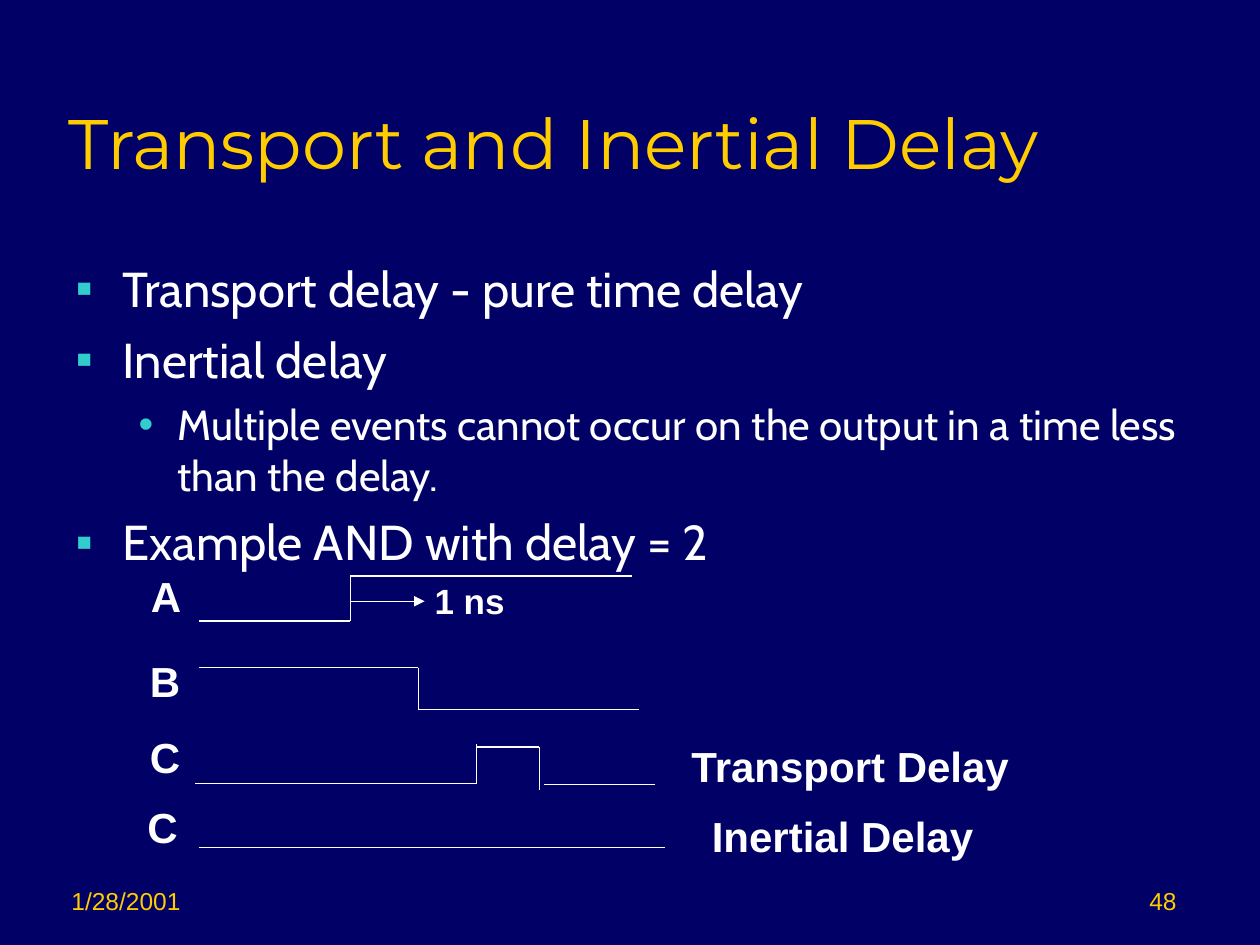
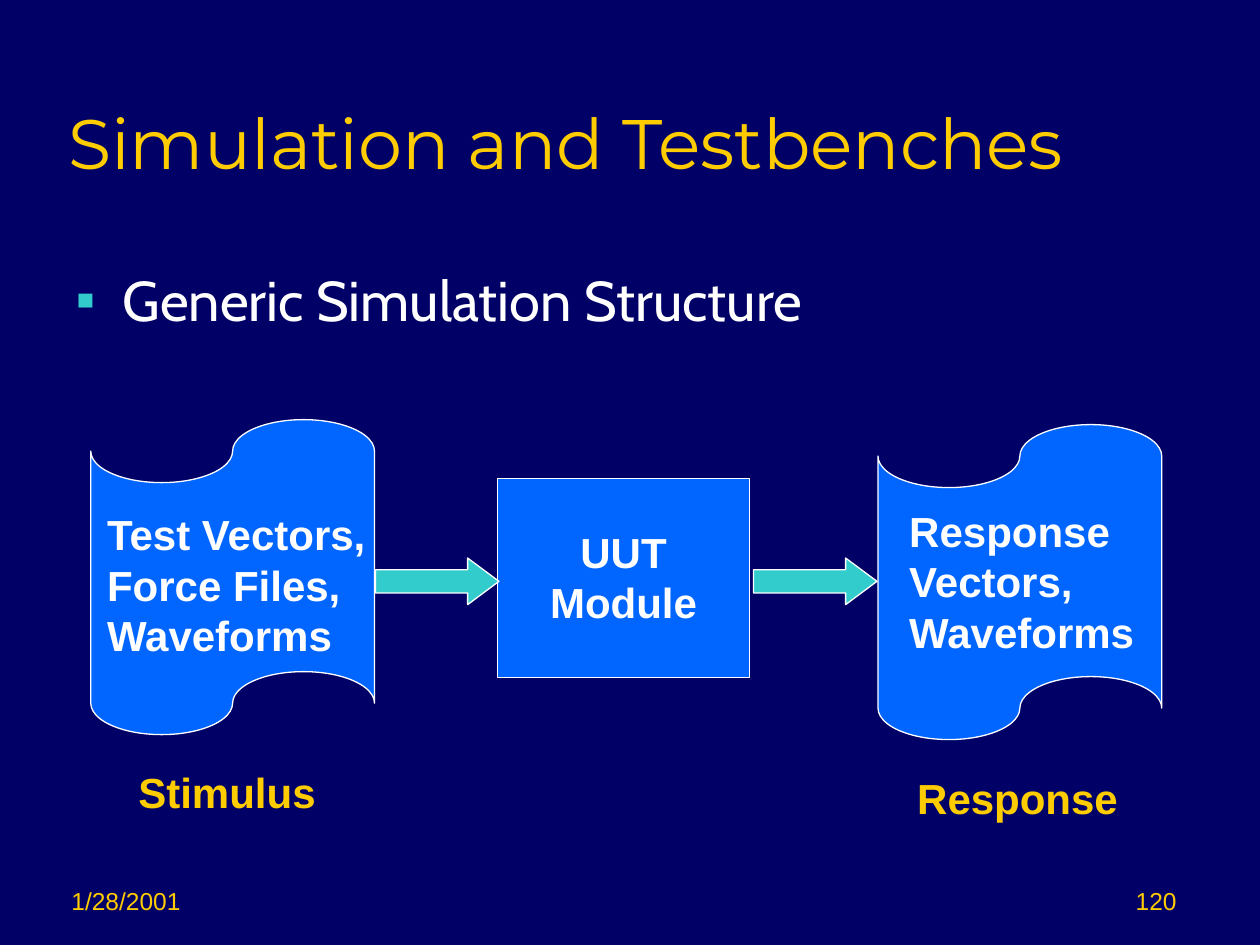
"""Build two VHDL lecture slides: signal delays and testbench structure."""
from dataclasses import dataclass
from itertools import pairwise

from lxml.etree import SubElement
from pptx import Presentation
from pptx.dml.color import RGBColor
from pptx.enum.shapes import MSO_CONNECTOR, MSO_SHAPE
from pptx.enum.text import MSO_ANCHOR, MSO_AUTO_SIZE, PP_ALIGN
from pptx.oxml.ns import qn
from pptx.util import Cm, Pt

NAVY = RGBColor(0x00, 0x00, 0x66)
GOLD = RGBColor(0xFF, 0xCC, 0x00)
WHITE = RGBColor(0xFF, 0xFF, 0xFF)
TEAL = RGBColor(0x33, 0xCC, 0xCC)
BLUE = RGBColor(0x00, 0x66, 0xFF)

TITLE_FONT = "Montserrat"
BODY_FONT = "Cabin"
LABEL_FONT = "Arial"
THIN = Pt(0.75)
DATE = "1/28/2001"


@dataclass(frozen=True)
class Bullet:
    text: str
    size: int
    space_before: int = 0
    level: int = 0


@dataclass(frozen=True)
class BulletStyle:
    mark: str
    margin: float
    hanging: float


@dataclass(frozen=True)
class Label:
    text: str
    left: float
    top: float
    width: float
    height: float = 1.27
    size: int = 24
    color: RGBColor = WHITE
    align: PP_ALIGN = PP_ALIGN.LEFT


@dataclass(frozen=True)
class Block:
    kind: MSO_SHAPE
    left: float
    top: float
    width: float
    height: float
    fill: RGBColor = BLUE
    adjustments: tuple[float, ...] = ()


BULLET_STYLES = (BulletStyle("▪", 0.95, 0.95), BulletStyle("•", 2.06, 0.79))

DELAY_BULLETS = (
    Bullet("Transport delay - pure time delay", 28),
    Bullet("Inertial delay", 28, 7),
    Bullet("Multiple events cannot occur on the output in a time less than the delay.", 24, 6, 1),
    Bullet("Example AND with delay = 2", 28, 7),
)

WAVEFORMS = (
    ((4.01, 12.52), (7.06, 12.52), (7.06, 11.61), (12.75, 11.61)),
    ((4.01, 13.46), (8.43, 13.46), (8.43, 14.3), (12.88, 14.3)),
    ((3.94, 15.8), (9.6, 15.8), (9.6, 14.99)),
    ((9.6, 15.06), (10.87, 15.06), (10.87, 15.93)),
    ((10.97, 15.82), (13.21, 15.82)),
    ((4.01, 17.09), (13.41, 17.09)),
)

WAVEFORM_LABELS = (
    Label("A", 2.79, 11.38, 1.12),
    Label("B", 2.77, 13.08, 1.12),
    Label("C", 2.77, 14.63, 1.12),
    Label("C", 2.72, 16.03, 1.12),
    Label("Transport Delay", 13.69, 14.81, 6.96),
    Label("Inertial Delay", 14.1, 16.21, 5.77),
    Label("1 ns", 8.51, 11.56, 2, 1.12, 20),
)

TAPE_SIZE = (5.72, 6.35)
ARROW_SIZE = (2.49, 0.94)
ARROW_HEAD = (0.5, 0.672)
TESTBENCH_BLOCKS = (
    Block(MSO_SHAPE.RECTANGLE, 10.03, 9.65, 5.08, 4.01),
    Block(MSO_SHAPE.FLOWCHART_PUNCHED_TAPE, 1.83, 8.46, *TAPE_SIZE),
    Block(MSO_SHAPE.FLOWCHART_PUNCHED_TAPE, 17.7, 8.56, *TAPE_SIZE),
    Block(MSO_SHAPE.RIGHT_ARROW, 7.57, 11.25, *ARROW_SIZE, TEAL, ARROW_HEAD),
    Block(MSO_SHAPE.RIGHT_ARROW, 15.19, 11.25, *ARROW_SIZE, TEAL, ARROW_HEAD),
)

TESTBENCH_LABELS = (
    Label("UUT\nModule", 10.77, 10.49, 3.6, 2.29, align=PP_ALIGN.CENTER),
    Label("Test Vectors,\nForce Files,\nWaveforms", 1.91, 10.13, 5.82, 3.3),
    Label("Stimulus", 2.54, 15.32, 4.09, color=GOLD),
    Label("Response\nVectors,\nWaveforms", 18.08, 10.06, 5.05, 3.3),
    Label("Response", 18.24, 15.44, 4.55, color=GOLD),
)


def place(shape, left: float, top: float, width: float, height: float) -> None:
    """Move and size a shape, in centimetres."""
    shape.left, shape.top = Cm(left), Cm(top)
    shape.width, shape.height = Cm(width), Cm(height)


def style_font(paragraph, name: str, size: int, color: RGBColor, bold: bool = False) -> None:
    """Set the font of a whole paragraph."""
    font = paragraph.font
    font.name, font.size, font.bold = name, Pt(size), bold
    font.color.rgb = color


def add_bullet_mark(paragraph, style: BulletStyle) -> None:
    """Give a paragraph a teal bullet with a hanging indent."""
    properties = paragraph._p.get_or_add_pPr()
    properties.set("marL", str(Cm(style.margin)))
    properties.set("indent", str(-Cm(style.hanging)))
    color = SubElement(properties, qn("a:buClr"))
    SubElement(color, qn("a:srgbClr"), val=str(TEAL))
    SubElement(properties, qn("a:buFont"), typeface=LABEL_FONT)
    SubElement(properties, qn("a:buChar"), char=style.mark)


def fill_body(body, bullets: tuple[Bullet, ...]) -> None:
    """Write the bullet list into the body placeholder."""
    frame = body.text_frame
    frame.auto_size = MSO_AUTO_SIZE.NONE
    frame.text = "\n".join(bullet.text for bullet in bullets)
    for paragraph, bullet in zip(frame.paragraphs, bullets):
        paragraph.level = bullet.level
        add_bullet_mark(paragraph, BULLET_STYLES[bullet.level])
        paragraph.space_before = Pt(bullet.space_before)
        style_font(paragraph, BODY_FONT, bullet.size, WHITE)


def add_footer(slide, text: str, left: float, align: PP_ALIGN) -> None:
    """Add one footer entry at the bottom of the slide."""
    box = slide.shapes.add_textbox(Cm(left), Cm(17.3), Cm(5.28), Cm(1.27))
    frame = box.text_frame
    frame.word_wrap = True
    frame.vertical_anchor = MSO_ANCHOR.BOTTOM
    frame.text = text
    paragraph = frame.paragraphs[0]
    paragraph.alignment = align
    style_font(paragraph, LABEL_FONT, 14, GOLD)


def add_lecture_slide(presentation, title_text: str, title_width: float, number: int,
                      body_top: float, bullets: tuple[Bullet, ...]):
    """Add a slide with the shared title, bullet list and footers."""
    slide = presentation.slides.add_slide(presentation.slide_layouts[1])
    add_footer(slide, DATE, 1.19, PP_ALIGN.LEFT)
    add_footer(slide, str(number), 18.69, PP_ALIGN.RIGHT)

    title, body = slide.placeholders
    place(title, 1.12, 0.64, title_width, 3.18)
    frame = title.text_frame
    frame.auto_size = MSO_AUTO_SIZE.NONE
    frame.vertical_anchor = MSO_ANCHOR.BOTTOM
    frame.text = title_text
    paragraph = frame.paragraphs[0]
    paragraph.alignment = PP_ALIGN.LEFT
    style_font(paragraph, TITLE_FONT, 40, GOLD)

    place(body, 1.27, body_top, 22.71, 11.58)
    fill_body(body, bullets)
    return slide


def add_label(slide, label: Label) -> None:
    """Add a bold label that does not wrap."""
    box = slide.shapes.add_textbox(Cm(label.left), Cm(label.top), Cm(label.width), Cm(label.height))
    frame = box.text_frame
    frame.word_wrap = False
    frame.auto_size = MSO_AUTO_SIZE.SHAPE_TO_FIT_TEXT
    frame.text = label.text
    for paragraph in frame.paragraphs:
        paragraph.alignment = label.align
        style_font(paragraph, LABEL_FONT, label.size, label.color, bold=True)


def add_line(slide, start: tuple[float, float], end: tuple[float, float], arrow: bool = False) -> None:
    """Draw a thin white line, with an arrowhead on request."""
    ends = [Cm(value) for value in (*start, *end)]
    connector = slide.shapes.add_connector(MSO_CONNECTOR.STRAIGHT, *ends)
    connector.line.color.rgb = WHITE
    connector.line.width = THIN
    if arrow:
        SubElement(connector.line._get_or_add_ln(), qn("a:tailEnd"), type="triangle")
    SubElement(connector._element.spPr, qn("a:effectLst"))


def add_block(slide, block: Block) -> None:
    """Draw a filled preset shape with a thin white outline."""
    shape = slide.shapes.add_shape(
        block.kind, Cm(block.left), Cm(block.top), Cm(block.width), Cm(block.height))
    for index, value in enumerate(block.adjustments):
        shape.adjustments[index] = value
    shape.shadow.inherit = False
    shape.fill.solid()
    shape.fill.fore_color.rgb = block.fill
    shape.line.color.rgb = WHITE
    shape.line.width = THIN


def build_delay_slide(presentation) -> None:
    """Build the slide comparing transport and inertial delay."""
    slide = add_lecture_slide(
        presentation, "Transport and Inertial Delay", 23.42, 48, 5.08, DELAY_BULLETS)
    for waveform in WAVEFORMS:
        for start, end in pairwise(waveform):
            add_line(slide, start, end)
    add_line(slide, (7.06, 12.12), (8.56, 12.12), arrow=True)
    for label in WAVEFORM_LABELS:
        add_label(slide, label)


def build_testbench_slide(presentation) -> None:
    """Build the slide showing the generic simulation structure."""
    slide = add_lecture_slide(
        presentation, "Simulation and Testbenches", 21.59, 120, 5.23,
        (Bullet("Generic Simulation Structure", 32),))
    for block in TESTBENCH_BLOCKS:
        add_block(slide, block)
    for label in TESTBENCH_LABELS:
        add_label(slide, label)


def main() -> None:
    """Create and save the presentation."""
    presentation = Presentation()
    presentation.slide_width, presentation.slide_height = Cm(25.4), Cm(19.05)
    background = presentation.slide_master.background.fill
    background.solid()
    background.fore_color.rgb = NAVY
    build_delay_slide(presentation)
    build_testbench_slide(presentation)
    presentation.save("out.pptx")


if __name__ == "__main__":
    main()
